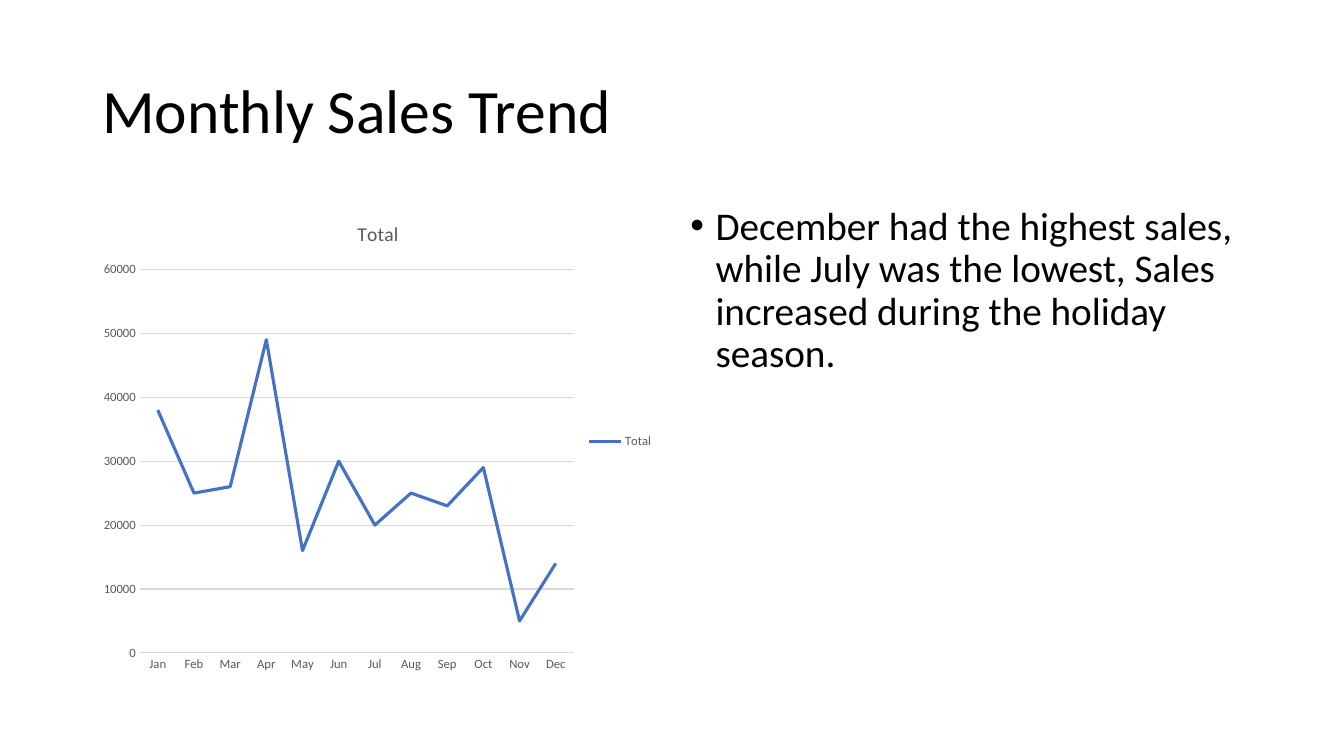
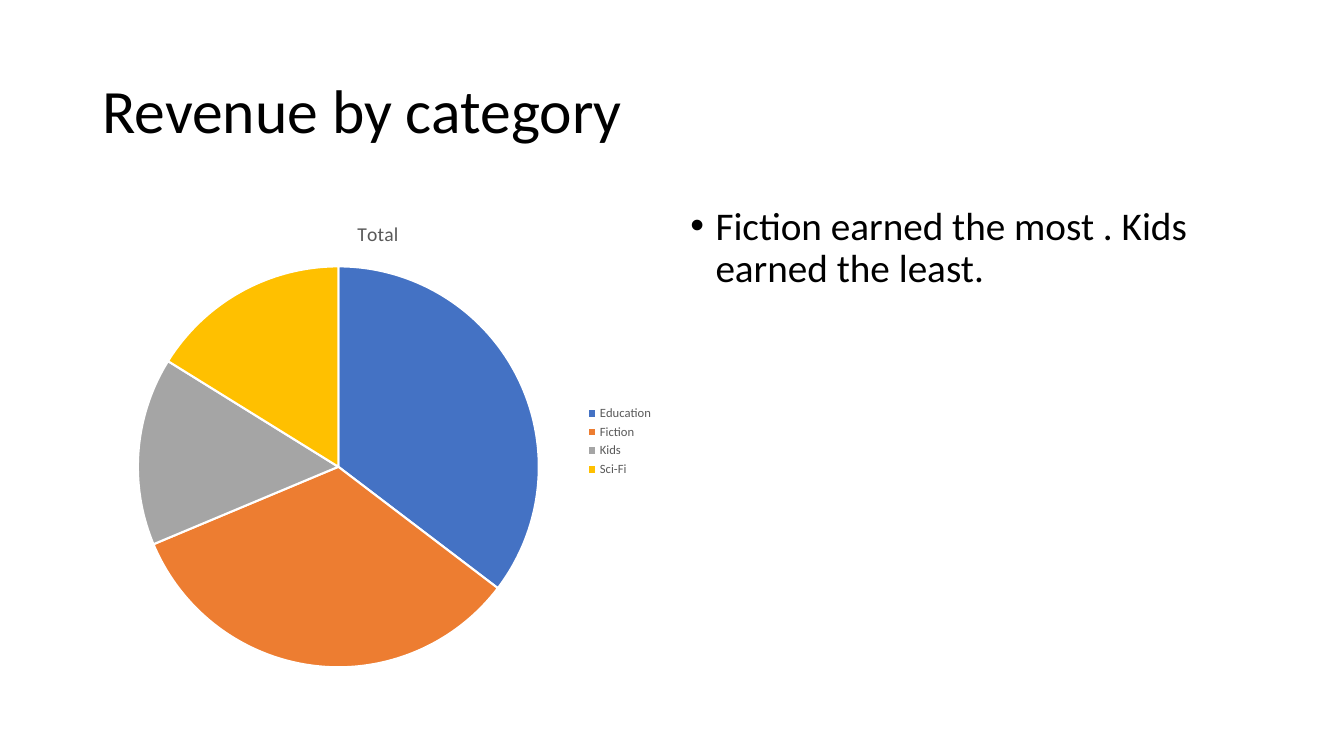
from dataclasses import dataclass

from lxml import etree
from pptx import Presentation
from pptx.chart.data import CategoryChartData
from pptx.dml.color import RGBColor
from pptx.enum import chart as charts, text
from pptx.oxml import ns
from pptx.util import Pt


@dataclass(frozen=True)
class Theme:
    font: str = "Calibri"
    ink: str = "000000"
    muted: str = "595959"
    rule: str = "D9D9D9"
    paper: str = "FFFFFF"
    accents: tuple = ("4472C4", "ED7D31", "A5A5A5", "FFC000")
    title: int = 44
    body: int = 28
    chart_title: int = 14
    chart_label: int = 9


theme = Theme()


def style(font, size, color):
    font.name, font.size, font.bold = theme.font, Pt(size), False
    font.color.rgb = RGBColor.from_string(color)


def add_text(slide, words, left, top, width, height, *, size,
             anchor=text.MSO_ANCHOR.TOP, before=0, bullet=None):
    frame = slide.shapes.add_textbox(Pt(left), Pt(top), Pt(width), Pt(height)).text_frame
    frame.word_wrap = True
    frame.vertical_anchor = anchor
    paragraph = frame.paragraphs[0]
    paragraph.line_spacing = 0.9
    paragraph.space_before = Pt(before)
    run = paragraph.add_run()
    run.text = words
    style(run.font, size, theme.ink)
    if bullet:
        props = paragraph._p.get_or_add_pPr()
        props.set("marL", str(Pt(18)))
        props.set("indent", str(-Pt(18)))
        etree.SubElement(props, ns.qn("a:buFont")).set("typeface", "Arial")
        etree.SubElement(props, ns.qn("a:buChar")).set("char", bullet)


# Content
pages = [
    ("Monthly Sales Trend",
     "December had the highest sales, while July was the lowest, "
     "Sales increased during the holiday season.",
     charts.XL_CHART_TYPE.LINE,
     {"Jan": 38000, "Feb": 25000, "Mar": 26000, "Apr": 49000,
      "May": 16000, "Jun": 30000, "Jul": 20000, "Aug": 25000,
      "Sep": 23000, "Oct": 29000, "Nov": 5000, "Dec": 14000}),
    ("Revenue by category",
     "Fiction earned the most . Kids earned the least.",
     charts.XL_CHART_TYPE.PIE,
     {"Education": 35, "Fiction": 33, "Kids": 15, "Sci-Fi": 16}),
]

# Page grid
margin, top, column, depth = 66, 144, 408, 342.6
page_width, page_height = 960, 540
prs = Presentation()
prs.slide_width, prs.slide_height = Pt(page_width), Pt(page_height)

for heading, finding, kind, totals in pages:
    slide = prs.slides.add_slide(prs.slide_layouts[6])

    # Heading and finding
    add_text(slide, heading, margin, 28.75, page_width - 2 * margin, 104.4,
             size=theme.title, anchor=text.MSO_ANCHOR.MIDDLE)
    add_text(slide, finding, page_width - margin - column, top, column, depth,
             size=theme.body, before=10, bullet="•")

    # Chart with title and legend
    data = CategoryChartData()
    data.categories = list(totals)
    data.add_series("Total", list(totals.values()))
    chart = slide.shapes.add_chart(kind, Pt(margin), Pt(top), Pt(column), Pt(depth), data).chart
    style(chart.font, 10, theme.ink)
    chart.has_title = True
    caption = chart.chart_title.text_frame
    caption.text = "Total"
    style(caption.paragraphs[0].runs[0].font, theme.chart_title, theme.muted)
    chart.chart_title.include_in_layout = False
    chart.has_legend = True
    chart.legend.position = charts.XL_LEGEND_POSITION.RIGHT
    chart.legend.include_in_layout = False
    style(chart.legend.font, theme.chart_label, theme.muted)
    plot = chart.plots[0]
    series = plot.series[0]

    if kind == charts.XL_CHART_TYPE.PIE:
        # Slices
        plot.vary_by_categories = True
        for index, accent in enumerate(theme.accents):
            slice_format = series.points[index].format
            slice_format.fill.solid()
            slice_format.fill.fore_color.rgb = RGBColor.from_string(accent)
            slice_format.line.color.rgb = RGBColor.from_string(theme.paper)
            slice_format.line.width = Pt(1.5)
    else:
        # Trend line and axes
        plot.vary_by_categories = False
        series.smooth = False
        series.marker.style = charts.XL_MARKER_STYLE.NONE
        series.format.line.color.rgb = RGBColor.from_string(theme.accents[0])
        series.format.line.width = Pt(2.25)
        months, amounts = chart.category_axis, chart.value_axis
        for axis in (months, amounts):
            axis.major_tick_mark = axis.minor_tick_mark = charts.XL_TICK_MARK.NONE
            style(axis.tick_labels.font, theme.chart_label, theme.muted)
        amounts.minimum_scale, amounts.maximum_scale, amounts.major_unit = 0, 60000, 10000
        amounts.has_major_gridlines = True
        amounts.format.line.fill.background()
        for line in (months.format.line, amounts.major_gridlines.format.line):
            line.color.rgb = RGBColor.from_string(theme.rule)
            line.width = Pt(0.75)

prs.save("out.pptx")
